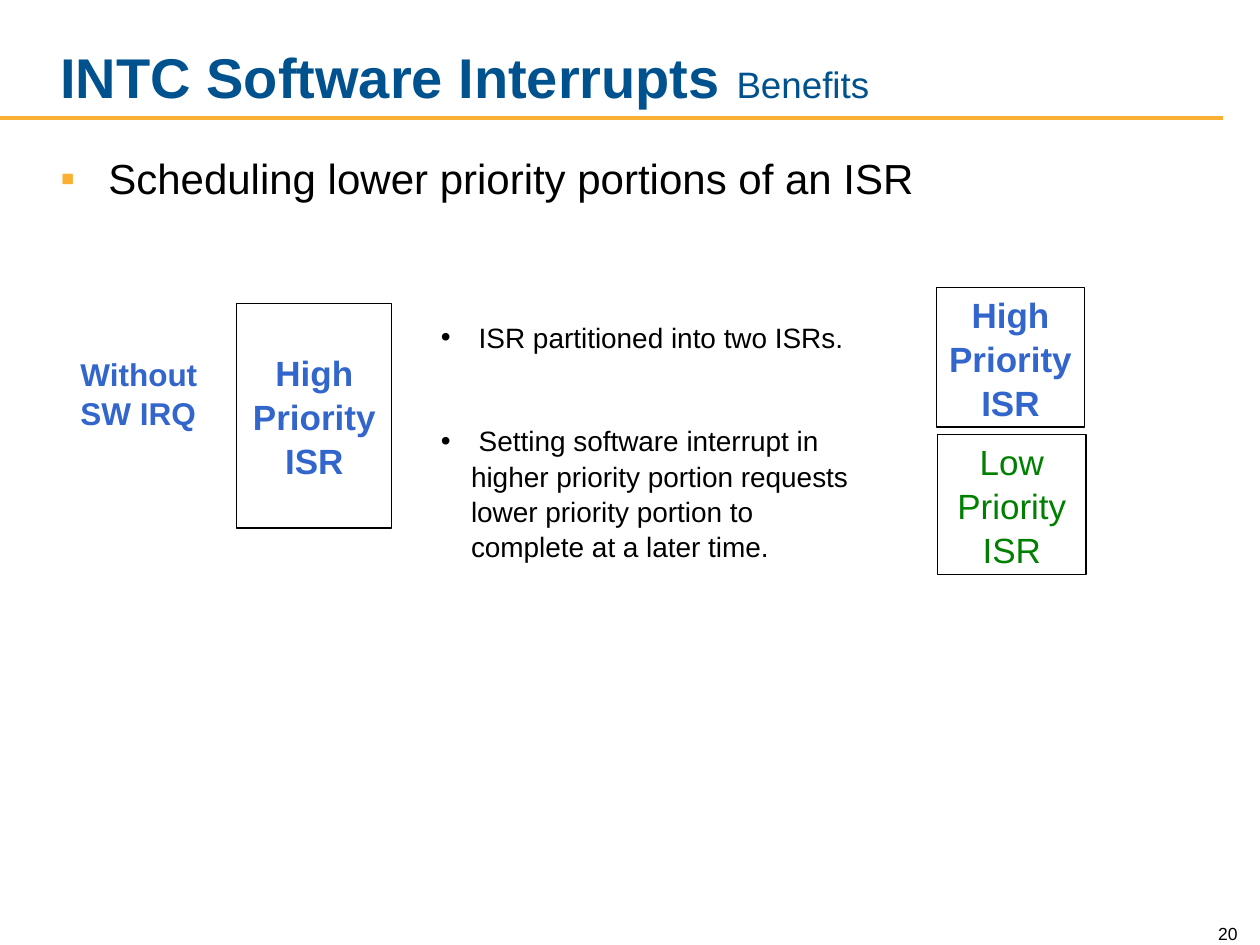
from lxml import etree
from pptx import Presentation
from pptx.dml.color import RGBColor
from pptx.enum.shapes import MSO_CONNECTOR, MSO_SHAPE
from pptx.enum.text import MSO_ANCHOR, MSO_AUTO_SIZE, PP_ALIGN
from pptx.oxml.ns import qn
from pptx.util import Inches, Pt

LINE, RECT = MSO_CONNECTOR.STRAIGHT, MSO_SHAPE.RECTANGLE
BOTTOM, FIXED = MSO_ANCHOR.BOTTOM, MSO_AUTO_SIZE.NONE
LEFT, CENTER, RIGHT = PP_ALIGN.LEFT, PP_ALIGN.CENTER, PP_ALIGN.RIGHT

NAVY = RGBColor(0x00, 0x52, 0x8E)
GOLD = RGBColor(0xFB, 0xB0, 0x34)
BLUE = RGBColor(0x33, 0x66, 0xCC)
GREEN = RGBColor(0x00, 0x80, 0x00)
BLACK = RGBColor(0, 0, 0)


def style(para, size, color, bold=False, align=LEFT):
    """Set the font and alignment of a paragraph."""
    font = para.font
    font.name, font.size, font.bold = "Arial", Pt(size), bold
    font.color.rgb = color
    para.alignment = align


def bullet(para, char, color, indent):
    """Give a paragraph a coloured bullet and a hanging indent."""
    props = para._p.get_or_add_pPr()
    props.set("marL", str(Inches(indent)))
    props.set("indent", str(-Inches(indent)))
    tint = etree.SubElement(props, qn("a:buClr"))
    etree.SubElement(tint, qn("a:srgbClr"), val=str(color))
    etree.SubElement(props, qn("a:buFont"), typeface="Arial")
    etree.SubElement(props, qn("a:buChar"), char=char)
    # The schema wants default run properties after the bullet
    props.append(props.find(qn("a:defRPr")))


prs = Presentation()
prs.slide_width, prs.slide_height = Inches(10), Inches(7.5)
slide = prs.slides.add_slide(prs.slide_layouts[1])
shapes = slide.shapes

# Title and rule
rule = shapes.add_connector(LINE, 0, Inches(0.94), Inches(9.71), Inches(0.94))
rule.line.color.rgb, rule.line.width = GOLD, Pt(2.25)
etree.SubElement(rule._element.spPr, qn("a:effectLst"))

title, body = shapes.title, slide.placeholders[1]
for holder, x, y, w, h in [(title, 0.38, 0.17, 8.17, 0.75),
                           (body, 0.38, 1.16, 9.08, 0.61)]:
    holder.left, holder.top = Inches(x), Inches(y)
    holder.width, holder.height = Inches(w), Inches(h)
    holder.text_frame.auto_size = FIXED

title.text_frame.vertical_anchor = BOTTOM
head = title.text_frame.paragraphs[0]
style(head, 32, NAVY, bold=True)
head.add_run().text = "INTC Software Interrupts "
sub = head.add_run()
sub.text = "Benefits"
sub.font.size, sub.font.bold = Pt(21), False

body.text_frame.text = "Scheduling lower priority portions of an ISR"
lead = body.text_frame.paragraphs[0]
style(lead, 24, BLACK)
bullet(lead, "▪", GOLD, 0.38)

# Label and slide number
for text, x, y, w, h, size, color, bold, align in [
    ("Without SW IRQ", 0.54, 2.75, 1.18, 0.7, 18, BLUE, True, LEFT),
    ("20", 9.42, 7.24, 0.5, 0.3, 10, BLACK, False, RIGHT),
]:
    box = shapes.add_textbox(Inches(x), Inches(y), Inches(w), Inches(h))
    frame = box.text_frame
    frame.word_wrap = True
    frame.text = text
    para = frame.paragraphs[0]
    style(para, size, color, bold, align)
    para.line_spacing = 1.05
    if align == RIGHT:
        frame.vertical_anchor = BOTTOM

# Notes between the boxes
notes = shapes.add_textbox(Inches(3.4), Inches(2.45), Inches(3.44), Inches(1.74))
frame = notes.text_frame
frame.word_wrap, frame.margin_top = True, Inches(0.08)
frame.text = (" ISR partitioned into two ISRs.\n"
              " Setting software interrupt in higher priority portion requests "
              "lower priority portion to complete at a later time.")
for para in frame.paragraphs:
    style(para, 16, BLACK)
    para.line_spacing = 1.05
    bullet(para, "•", BLACK, 0.24)
frame.paragraphs[1].space_before = Pt(39)

# ISR boxes
for level, x, y, w, h, color, bold in [
    ("High", 1.88, 2.41, 1.23, 1.78, BLUE, True),
    ("High", 7.43, 2.28, 1.18, 1.11, BLUE, True),
    ("Low", 7.44, 3.45, 1.18, 1.11, GREEN, False),
]:
    box = shapes.add_shape(RECT, Inches(x), Inches(y), Inches(w), Inches(h))
    box.shadow.inherit = False
    box.fill.background()
    box.line.color.rgb, box.line.width = BLACK, Pt(0.75)
    frame = box.text_frame
    frame.word_wrap = False
    para = frame.paragraphs[0]
    para.text = f"{level}\vPriority\vISR"
    style(para, 20, color, bold, CENTER)
    para.line_spacing = 1.05

prs.save("out.pptx")
